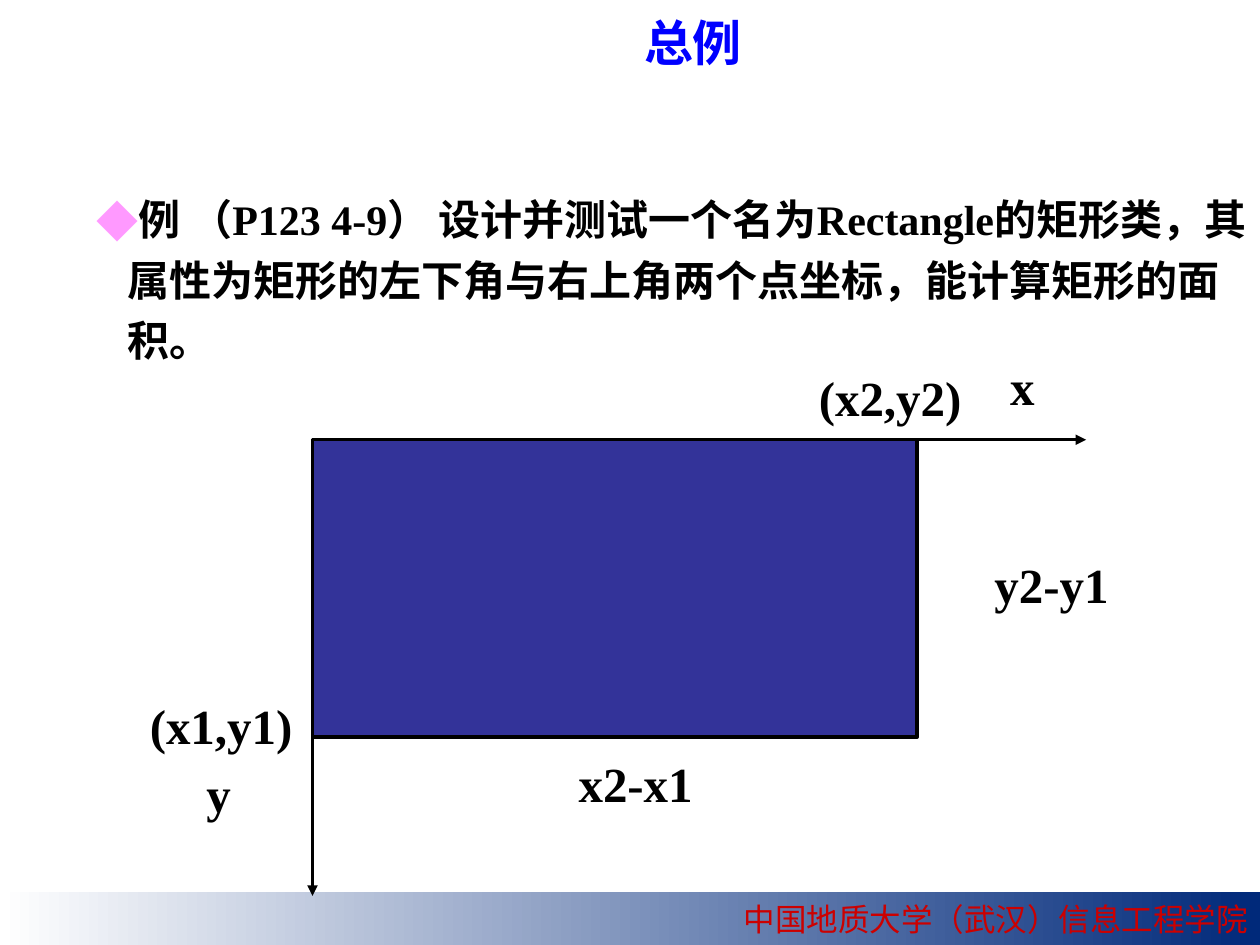
"""Build the slide with the worked example of a rectangle class."""
from pptx import Presentation
from pptx.dml.color import RGBColor
from pptx.enum.shapes import MSO_CONNECTOR, MSO_SHAPE
from pptx.enum.text import MSO_ANCHOR, MSO_AUTO_SIZE, PP_ALIGN
from pptx.oxml.ns import qn
from pptx.util import Inches, Pt
from lxml.etree import SubElement

COLORS = {"black": "000000", "title": "0000FF", "bullet": "FF99FF",
          "rect": "333399", "footer": "CC0000", "fade": "FFFFFF", "navy": "00297A"}
LATIN, HAN = "Times New Roman", "Noto Sans CJK SC"

TITLE = "总例"
TASK = ("例 （P123 4-9） 设计并测试一个名为Rectangle的矩形类，"
        "其属性为矩形的左下角与右上角两个点坐标，能计算矩形的面积。")
FOOTER = "中国地质大学（武汉）信息工程学院"
LABELS = [("x", 7.76, 2.78, 0.71), ("y", 1.38, 6.01, 0.71),
          ("(x1,y1)", 0.77, 5.47, 1.97), ("(x2,y2)", 6.08, 2.87, 1.97),
          ("y2-y1", 7.36, 4.35, 1.97), ("x2-x1", 4.06, 5.93, 1.97)]
LEFT, TOP, WIDE, HIGH = 2.48, 3.49, 4.8, 2.36
AXES = [(8.62, TOP), (LEFT, 7.11)]


def color(name):
    return RGBColor.from_string(COLORS[name])


def write(shape, text, align=PP_ALIGN.CENTER, tint="black", wrap=True, **style):
    frame = shape.text_frame
    frame.word_wrap = wrap
    para = frame.paragraphs[0]
    para.alignment = align
    run = para.add_run()
    run.text = text
    look = {"name": LATIN, "size": Pt(28), "bold": True, **style}
    for key, value in look.items():
        setattr(run.font, key, value)
    run.font.color.rgb = color(tint)
    SubElement(run.font._element, qn("a:ea"), typeface=HAN)
    return para


def add_text(slide, box, text, **style):
    shape = slide.shapes.add_textbox(*map(Inches, box))
    return shape, write(shape, text, **style)


def add_rect(slide, box):
    shape = slide.shapes.add_shape(MSO_SHAPE.RECTANGLE, *map(Inches, box))
    shape.shadow.inherit = False
    return shape


def add_axis(slide, end):
    ends = map(Inches, (LEFT, TOP, *end))
    axis = slide.shapes.add_connector(MSO_CONNECTOR.STRAIGHT, *ends)
    axis.line.color.rgb = color("black")
    axis.line.width = Pt(2)
    SubElement(axis.line._get_or_add_ln(), qn("a:tailEnd"), type="triangle")
    SubElement(axis._element.spPr, qn("a:effectLst"))


def add_bullet(para):
    props = para._p.get_or_add_pPr()
    props.set("marL", str(Inches(0.24)))
    props.set("indent", str(-Inches(0.24)))
    tint = SubElement(props, qn("a:buClr"))
    SubElement(tint, qn("a:srgbClr"), val=COLORS["bullet"])
    SubElement(props, qn("a:buFont"), typeface=HAN)
    SubElement(props, qn("a:buChar"), char="◆")


def add_footer(slide):
    bar = add_rect(slide, (0, 7.08, 10, 0.42))
    bar.line.fill.background()
    bar.fill.gradient()
    bar.fill.gradient_angle = 0
    for stop, name in zip(bar.fill.gradient_stops, ("fade", "navy")):
        stop.color.rgb = color(name)
    bar.text_frame.vertical_anchor = MSO_ANCHOR.MIDDLE
    write(bar, FOOTER, PP_ALIGN.RIGHT, "footer", False,
          name=HAN, size=Pt(18), bold=False)


def main():
    deck = Presentation()
    deck.slide_width, deck.slide_height = Inches(10), Inches(7.5)
    slide = deck.slides.add_slide(deck.slide_layouts[6])

    add_footer(slide)
    body, para = add_text(slide, (0.67, 1.41, 9.33, 1.54), TASK,
                          align=PP_ALIGN.LEFT, size=Pt(24))
    body.text_frame.auto_size = MSO_AUTO_SIZE.SHAPE_TO_FIT_TEXT
    para.line_spacing = 1.2
    add_bullet(para)

    rect = add_rect(slide, (LEFT, TOP, WIDE, HIGH))
    rect.fill.solid()
    rect.fill.fore_color.rgb = color("rect")
    rect.line.color.rgb = color("black")
    rect.line.width = Pt(2)
    for end in AXES:
        add_axis(slide, end)
    for text, left, top, wide in LABELS:
        label, _ = add_text(slide, (left, top, wide, 0.57), text)
        label.text_frame.auto_size = MSO_AUTO_SIZE.SHAPE_TO_FIT_TEXT
    add_text(slide, (1, 0.05, 9, 0.76), TITLE, tint="title")
    deck.save("out.pptx")


if __name__ == "__main__":
    main()
